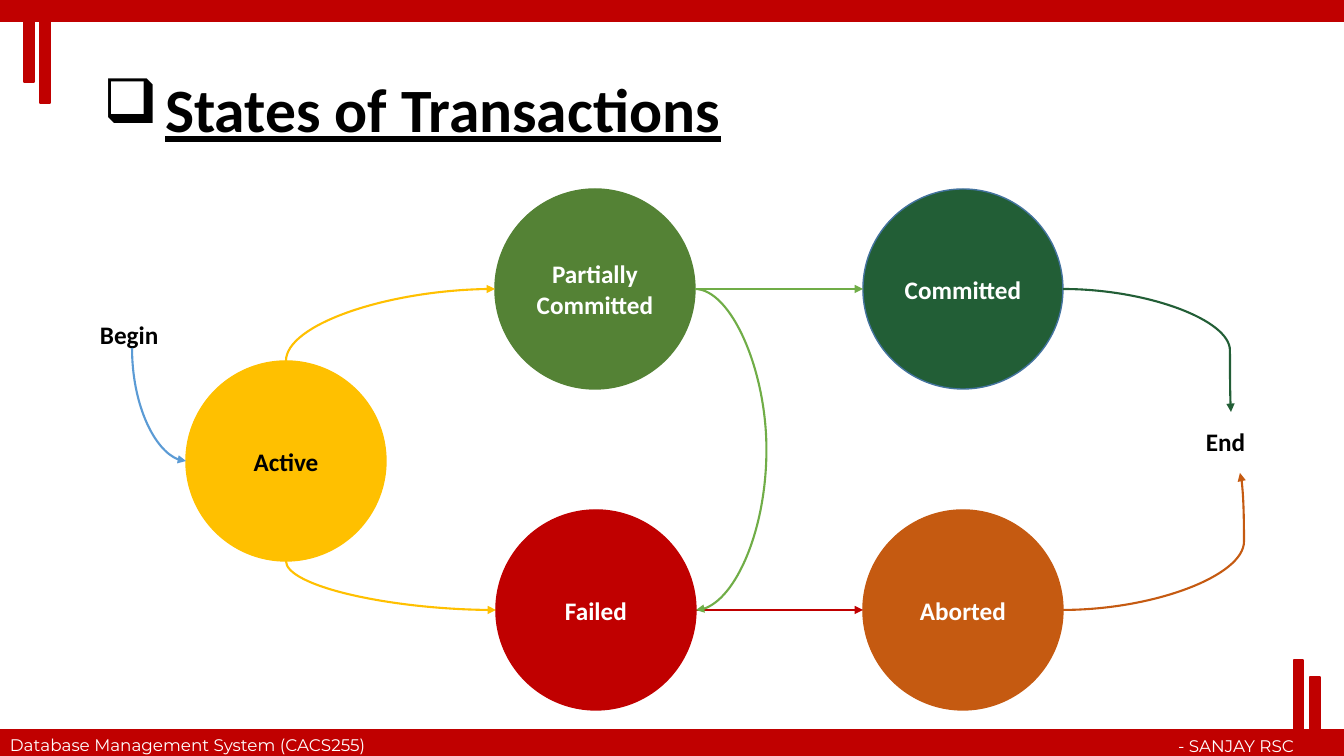
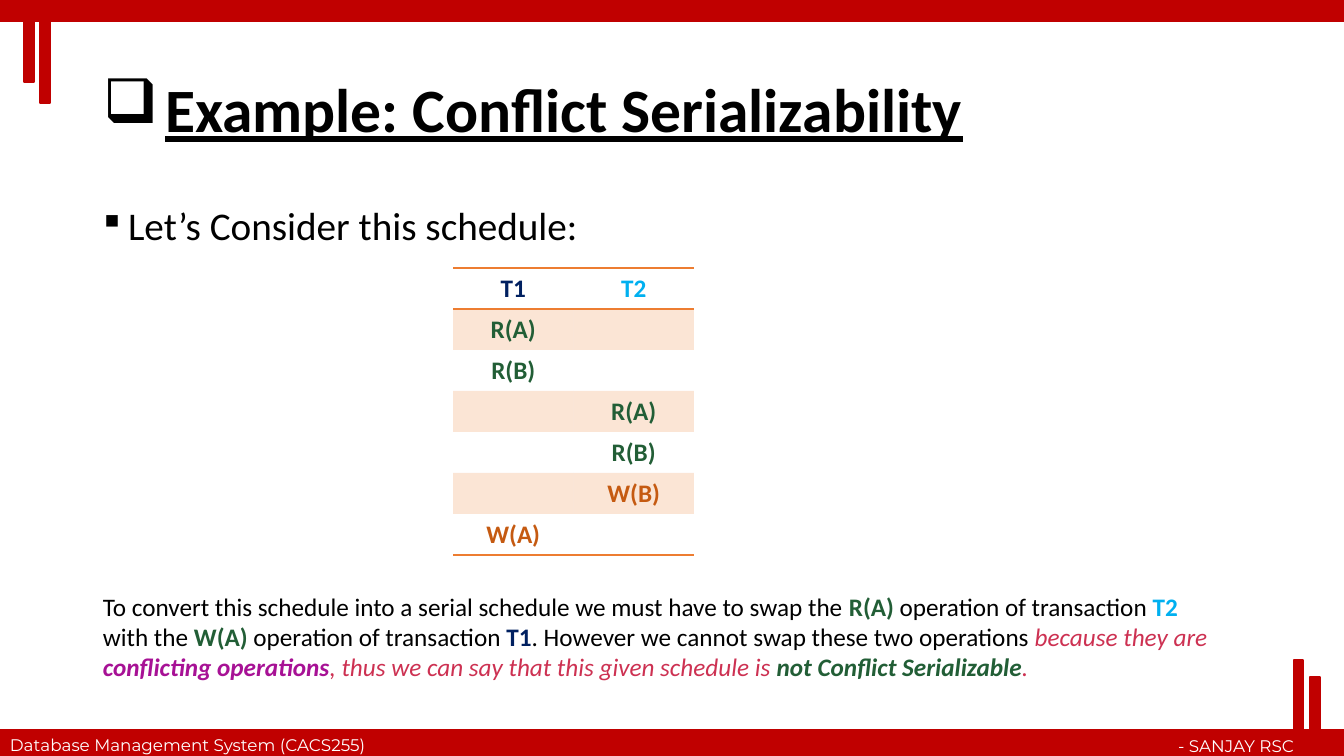
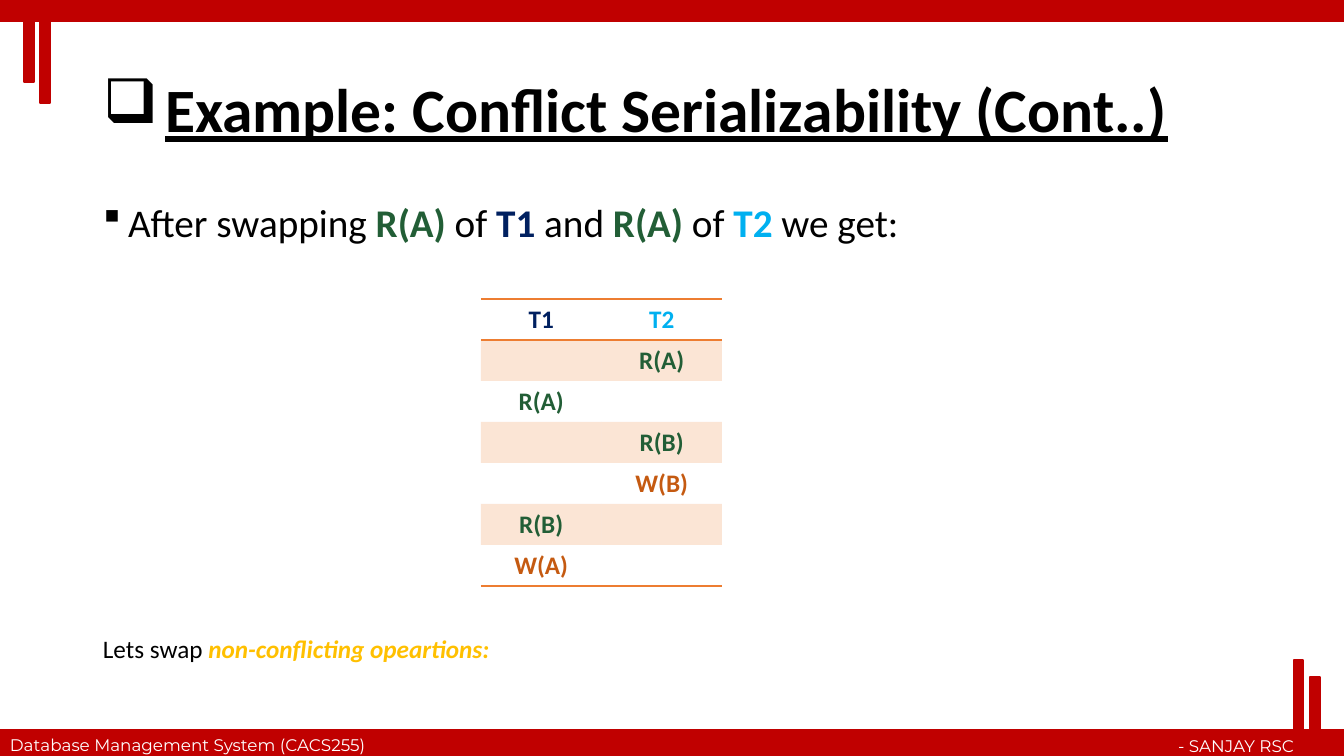
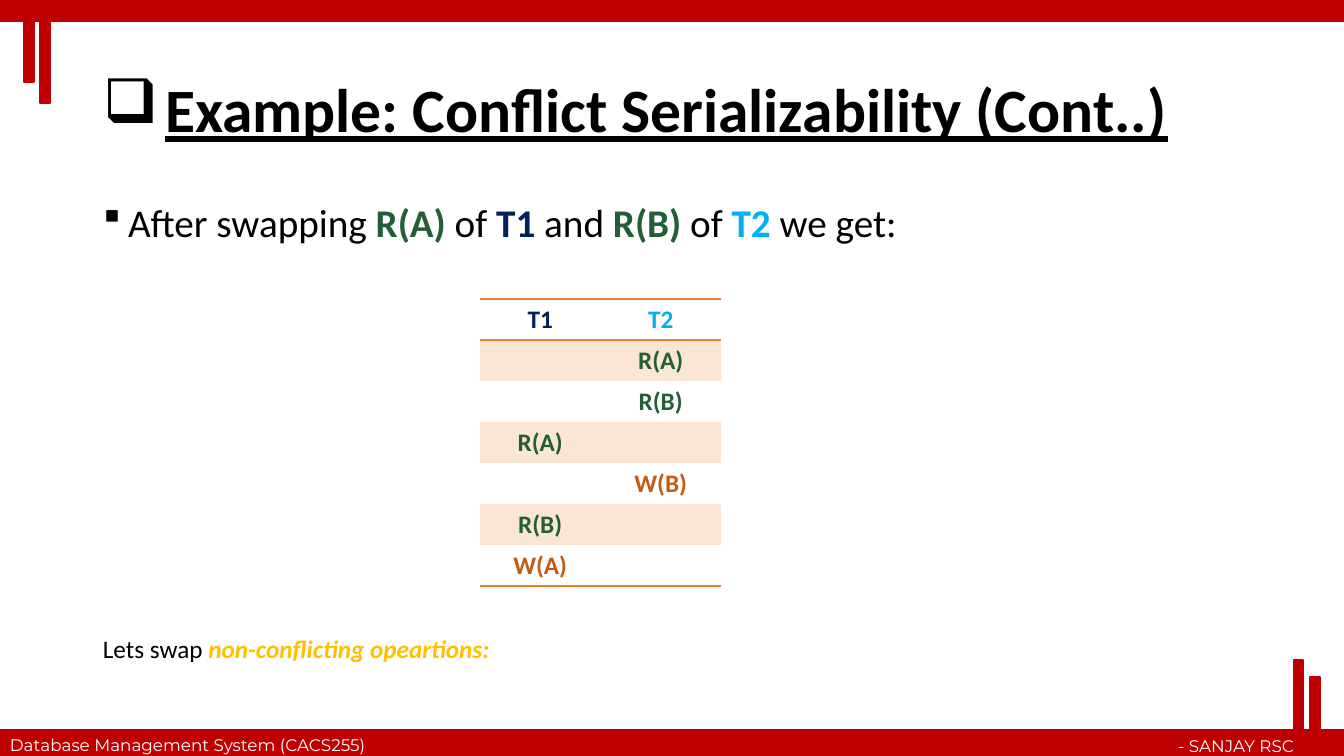
from lxml import etree
from pptx import Presentation
from pptx.dml.color import RGBColor
from pptx.enum.shapes import MSO_CONNECTOR, MSO_SHAPE
from pptx.enum.text import MSO_ANCHOR, MSO_AUTO_SIZE, PP_ALIGN
from pptx.oxml.ns import qn
from pptx.util import Emu, Pt

RECTANGLE, OVAL = MSO_SHAPE.RECTANGLE, MSO_SHAPE.OVAL
CURVE = MSO_CONNECTOR.CURVE
LEFT, CENTER, RIGHT = PP_ALIGN.LEFT, PP_ALIGN.CENTER, PP_ALIGN.RIGHT
TOP, MIDDLE = MSO_ANCHOR.TOP, MSO_ANCHOR.MIDDLE
FIXED, GROW = MSO_AUTO_SIZE.NONE, MSO_AUTO_SIZE.SHAPE_TO_FIT_TEXT

# Shared scale, colours and text formats
PIXEL = 914400 / 100.8
WIDTH, HEIGHT = 1344, 756
RED, BLACK, WHITE = "C00000", "000000", "FFFFFF"
GOLD, ORANGE, RUST = "FFC000", "ED7D31", "C55A11"
PINE, OLIVE, LEAF, BLUE = "225E36", "548235", "70AD47", "5B9BD5"
NAVY, SKY, ROSE, PURPLE = "002060", "00B0F0", "CD3152", "A71195"
NO_STYLE = "{2D5ABB26-0587-4C30-8999-92F81FD0307C}"

TITLE = {"name": "Calibri", "size": Pt(44), "bold": True, "underline": True}
BODY = {"name": "Calibri", "size": Pt(28)}
NOTE = {"name": "Calibri", "size": Pt(18)}
LABEL = {**NOTE, "bold": True}
FOOTER = {"name": "Montserrat", "size": Pt(12)}
BOLD, ITALIC = {"bold": True}, {"italic": True}
BOLD_ITALIC = {**BOLD, **ITALIC}

# Coloured terms used in running text and tables
READ_A, READ_B = ("R(A)", PINE, BOLD), ("R(B)", PINE, BOLD)
WRITE_A, WRITE_B = ("W(A)", RUST, BOLD), ("W(B)", RUST, BOLD)
FIRST, SECOND = ("T1", NAVY, BOLD), ("T2", SKY, BOLD)


def px(value):
    return Emu(round(value * PIXEL))


def place(box):
    return [px(value) for value in box]


def rgb(value):
    return RGBColor.from_string(value)


def add_xml(parent, tag, **attributes):
    return etree.SubElement(parent, qn(tag), attributes)


def write(para, spans, style, color=BLACK):
    """Each span is plain text or a tuple of text, colour and format."""
    for item in spans:
        text, tint, extra = (item, color, {}) if isinstance(item, str) else item
        span = para.add_run()
        span.text = text
        for name, value in {**style, **extra}.items():
            setattr(span.font, name, value)
        span.font.color.rgb = rgb(tint)


def add_bullet(para, char, indent):
    props = para._p.get_or_add_pPr()
    props.set("marL", str(px(indent)))
    props.set("indent", str(-px(indent)))
    add_xml(props, "a:buFont", typeface="Wingdings")
    add_xml(props, "a:buChar", char=char)


def add_block(page, kind, box, fill, line=None):
    shape = page.shapes.add_shape(kind, *place(box))
    shape.shadow.inherit = False
    shape.fill.solid()
    shape.fill.fore_color.rgb = rgb(fill)
    shape.line.color.rgb = rgb(line or fill)
    shape.line.width = Pt(1)
    return shape


def add_text(page, box, spans, style, color=BLACK, align=LEFT):
    shape = page.shapes.add_textbox(*place(box))
    frame = shape.text_frame
    frame.word_wrap = True
    frame.auto_size = GROW
    frame.paragraphs[0].alignment = align
    write(frame.paragraphs[0], spans, style, color)
    return shape


def fill_placeholder(shape, box, spans, style, bullet, indent, anchor, spacing, before):
    shape.left, shape.top, shape.width, shape.height = place(box)
    frame = shape.text_frame
    frame.word_wrap = True
    frame.auto_size = FIXED
    frame.vertical_anchor = anchor
    para = frame.paragraphs[0]
    para.alignment = LEFT
    para.line_spacing = spacing
    para.space_before = Pt(before)
    add_bullet(para, bullet, indent)
    write(para, spans, style)


# Bands, corner bars and footer: drawn once, then moved to the master
def build_master(deck, page):
    bands = [(0, 730, WIDTH, 26), (0, 0, WIDTH, 21)]
    bars = [(40, 1, 10, 102), (24, 3, 10, 79), (1294, 660, 9, 95), (1310, 677, 10, 79)]
    parts = [add_block(page, RECTANGLE, box, RED) for box in bands + bars]
    parts.append(add_text(page, (0, 730, 419, 30),
                          ["Database Management System (CACS255)"], FOOTER, WHITE))
    parts.append(add_text(page, (978, 731, 326, 30),
                          ["- SANJAY RSC"], FOOTER, WHITE, RIGHT))
    for number, part in enumerate(parts, start=100):
        part.element.nvSpPr.cNvPr.set("id", str(number))
        deck.slide_master.shapes.element.append(part.element)


def add_page(deck, layout, title):
    page = deck.slides.add_slide(deck.slide_layouts[layout])
    fill_placeholder(page.shapes.title, (93, 40, 1159, 146), [title], TITLE,
                     "q", 62, MIDDLE, 0.9, 0)
    return page


# State diagram parts
def add_state(page, box, lines, fill, color=WHITE, line=None):
    shape = add_block(page, OVAL, box, fill, line)
    frame = shape.text_frame
    frame.vertical_anchor = MIDDLE
    for index, text in enumerate(lines):
        para = frame.add_paragraph() if index else frame.paragraphs[0]
        para.alignment = CENTER
        write(para, [text], LABEL, color)


def add_arrow(page, start, end, color, bend=None, quarter=False):
    """bend is the reach of the curve from its start; quarter leaves vertically."""
    arrow = page.shapes.add_connector(CURVE, *place(start + end))
    arrow.line.color.rgb = rgb(color)
    arrow.line.width = Pt(1.5)
    props = arrow.element.spPr
    add_xml(props.find(qn("a:ln")), "a:tailEnd", type="triangle")
    add_xml(props, "a:effectLst")
    geometry = props.find(qn("a:prstGeom"))
    across, down = end[0] - start[0], end[1] - start[1]
    if bend is not None:
        guides = geometry.find(qn("a:avLst"))
        add_xml(guides, "a:gd", name="adj1", fmla=f"val {round(bend / across * 100000)}")
    if quarter:
        geometry.set("prst", "curvedConnector2")
        wide, high = abs(down), across
        arrow.left = px((start[0] + end[0] - wide) / 2)
        arrow.top = px((start[1] + end[1] - high) / 2)
        arrow.width, arrow.height = px(wide), px(high)
        frame = props.find(qn("a:xfrm"))
        frame.set("rot", str((90 if down < 0 else 270) * 60000))
        frame.set("flipH", "1")
        frame.set("flipV", "1" if down < 0 else "0")


def build_states(page, box):
    left, top, size = box
    middle, right = left + 309, left + 677
    upper, lower, half = top, top + 321, size // 2
    active_top = top + 172
    upper_axis, lower_axis, active_axis = upper + half, lower + half, active_top + half

    # States
    add_state(page, (left, active_top, size, size), ["Active"], GOLD, BLACK)
    add_state(page, (right, lower, size, size), ["Aborted"], RUST)
    add_state(page, (right, upper, size, size), ["Committed"], PINE, line="43739E")
    add_state(page, (middle + 1, lower, size, size), ["Failed"], RED)
    add_state(page, (middle, upper, size, size), ["Partially", "Committed"], OLIVE)

    # Start and end labels
    add_text(page, (left - 96, top + 125, 179, 40), ["Begin"], LABEL)
    add_text(page, (left + 1010, top + 232, 88, 40), ["End"], LABEL)

    # Transitions
    partial_out = (middle + size, upper_axis)
    failed_out = (middle + size + 1, lower_axis)
    committed_out, aborted_out = (right + size, upper_axis), (right + size, lower_axis)
    add_arrow(page, (left - 54, top + 159), (left, active_axis), BLUE, quarter=True)
    add_arrow(page, (left + half, active_top), (middle, upper_axis), GOLD, quarter=True)
    add_arrow(page, (left + half, active_top + size), (middle + 1, lower_axis),
              GOLD, quarter=True)
    add_arrow(page, partial_out, (right, upper_axis), LEAF)
    add_arrow(page, failed_out, (right, lower_axis), RED)
    add_arrow(page, partial_out, failed_out, LEAF, bend=72)
    add_arrow(page, committed_out, (left + 1045, top + 223), PINE, bend=167)
    add_arrow(page, aborted_out, (left + 1054, top + 284), RUST, bend=181)


# Schedule table: every other row tinted, rules around the header and at the end
def rule_cell(cell, sides):
    props = cell._tc.get_or_add_tcPr()
    for index, side in enumerate(sides):
        line = etree.Element(qn(side), w=str(Pt(1)))
        add_xml(add_xml(line, "a:solidFill"), "a:srgbClr", val=ORANGE)
        props.insert(index, line)


def add_schedule(page, box, steps):
    """Each step is the column of its transaction and the operation."""
    rows = [{0: FIRST, 1: SECOND}] + [{column: term} for column, term in steps]
    frame = page.shapes.add_table(len(rows), 2, *place(box))
    for style in frame.element.iter(qn("a:tableStyleId")):
        style.text = NO_STYLE
    table = frame.table
    table.first_row = table.horz_banding = False
    for number, row in enumerate(rows):
        for column in range(2):
            cell = table.cell(number, column)
            if number % 2:
                cell.fill.solid()
                cell.fill.fore_color.rgb = rgb(ORANGE)
                for tint in cell._tc.tcPr.iter(qn("a:srgbClr")):
                    add_xml(tint, "a:alpha", val="20000")
            else:
                cell.fill.background()
            if number == 0:
                rule_cell(cell, ["a:lnT", "a:lnB"])
            elif number == len(rows) - 1:
                rule_cell(cell, ["a:lnB"])
            if column in row:
                para = cell.text_frame.paragraphs[0]
                para.alignment = CENTER
                write(para, [row[column]], LABEL)


def build_schedule_page(deck, title, lead, spacing, corner, steps, note_box, note):
    page = add_page(deck, 1, title)
    fill_placeholder(page.placeholders[1], (93, 202, 1159, 54), lead, BODY,
                     "§", 25, TOP, spacing, 10)
    add_schedule(page, (*corner, 241, 287), steps)
    add_text(page, note_box, note, NOTE)


def build_swap_page(deck, swapped, left, steps):
    lead = ["After swapping ", READ_A, " of ", FIRST, " and ", swapped, " of ",
            SECOND, " we get:"]
    note = ["Lets swap ", ("non-conflicting opeartions:", GOLD, BOLD_ITALIC)]
    build_schedule_page(deck, "Example: Conflict Serializability (Cont..)", lead, 0.8,
                        (left, 299), steps, (93, 628, 1134, 40), note)


deck = Presentation()
deck.slide_width, deck.slide_height = px(WIDTH), px(HEIGHT)

# Slide 1: state diagram
states = add_page(deck, 5, "States of Transactions")
build_master(deck, states)
build_states(states, (186, 189, 200))

# Slide 2: schedule to be tested
build_schedule_page(
    deck, "Example: Conflict Serializability", ["Let’s Consider this schedule:"], 0.9,
    (453, 268),
    [(0, READ_A), (0, READ_B), (1, READ_A), (1, READ_B), (1, WRITE_B), (0, WRITE_A)],
    (93, 586, 1134, 102),
    ["To convert this schedule into a serial schedule we must have to swap the ", READ_A,
     " operation of transaction ", SECOND, " with the ", ("W(A)", PINE, BOLD),
     " operation of transaction ", FIRST,
     ". However we cannot swap these two operations ",
     ("because they are ", ROSE, ITALIC),
     ("conflicting operations", PURPLE, BOLD_ITALIC),
     (", thus we can say that this given schedule is ", ROSE, ITALIC),
     ("not Conflict Serializable", PINE, BOLD_ITALIC), (".", ROSE, ITALIC)])

# Slides 3 and 4: schedules after each swap
build_swap_page(deck, READ_A, 481, [(1, READ_A), (0, READ_A), (1, READ_B),
                                    (1, WRITE_B), (0, READ_B), (0, WRITE_A)])
build_swap_page(deck, READ_B, 480, [(1, READ_A), (1, READ_B), (0, READ_A),
                                    (1, WRITE_B), (0, READ_B), (0, WRITE_A)])

deck.save("out.pptx")
